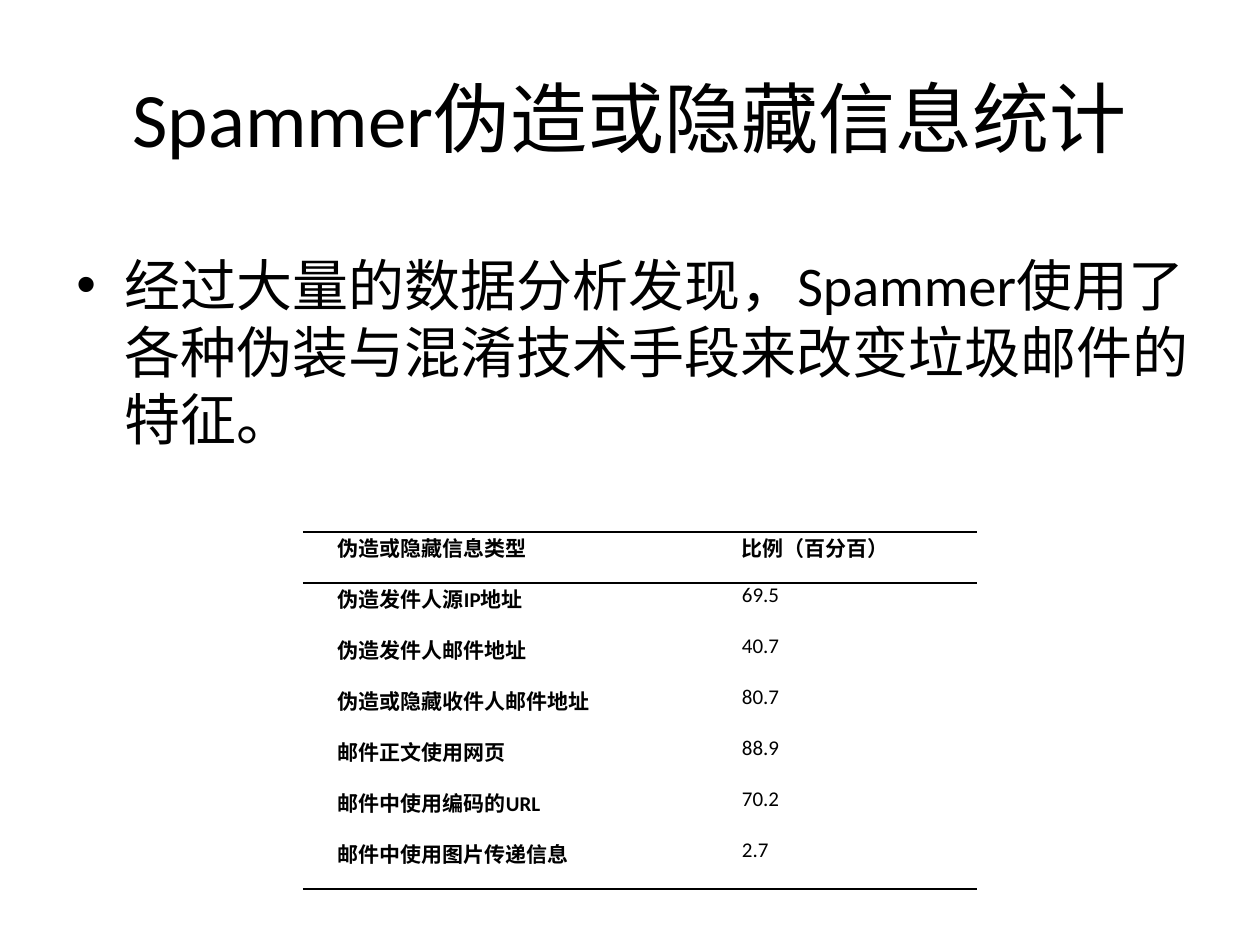
from lxml import etree
from pptx import Presentation
from pptx.dml.color import RGBColor
from pptx.enum.text import MSO_ANCHOR, PP_ALIGN
from pptx.oxml.ns import qn
from pptx.util import Pt

PX = 914400 // 126
BLACK = RGBColor(0, 0, 0)
FONT = "Calibri"
CENTER, JUSTIFY, LEFT = PP_ALIGN.CENTER, PP_ALIGN.JUSTIFY, PP_ALIGN.LEFT
MIDDLE, TOP = MSO_ANCHOR.MIDDLE, MSO_ANCHOR.TOP
NO_STYLE = "{2D5ABB26-0587-4C30-8999-92F81FD0307C}"

HEADER = ("伪造或隐藏信息类型", "比例（百分百）")
RATES = [
    ("伪造发件人源IP地址", "69.5"),
    ("伪造发件人邮件地址", "40.7"),
    ("伪造或隐藏收件人邮件地址", "80.7"),
    ("邮件正文使用网页", "88.9"),
    ("邮件中使用编码的URL", "70.2"),
    ("邮件中使用图片传递信息", "2.7"),
]


def px(n):
    """Turn pixels into EMU."""
    return n * PX


def write(tf, text, size=12, bold=False, align=LEFT, margin=0, indent=0,
          before=0, bullet=None):
    """Write one formatted paragraph into a text frame."""
    p = tf.paragraphs[0]
    p.alignment = align
    p.space_before = Pt(before)
    pPr = p._p.get_or_add_pPr()
    pPr.set("marL", str(px(margin)))
    pPr.set("indent", str(px(indent)))
    if bullet:
        etree.SubElement(pPr, qn("a:buFont")).set("typeface", "Arial")
        etree.SubElement(pPr, qn("a:buChar")).set("char", bullet)
    r = p.add_run()
    r.text = text
    r.font.name, r.font.size, r.font.bold = FONT, Pt(size), bold
    r.font.color.rgb = BLACK


def add_text(s, box, text, anchor=TOP, **fmt):
    """Add a wrapping text box that fills the box."""
    tf = s.shapes.add_textbox(*map(px, box)).text_frame
    tf.word_wrap = True
    tf.vertical_anchor = anchor
    write(tf, text, **fmt)


def add_border(cell, side):
    """Draw a thin black line on one side ("T" or "B") of a cell."""
    ln = etree.SubElement(cell._tc.get_or_add_tcPr(), qn("a:ln" + side))
    ln.set("w", str(Pt(1)))
    fill = etree.SubElement(ln, qn("a:solidFill"))
    etree.SubElement(fill, qn("a:srgbClr")).set("val", str(BLACK))


def add_rate_table(s, box, first_width):
    """Add the three-line table of rates, with equal rows."""
    left, top, width, height = box
    rows = [HEADER] + RATES
    table = s.shapes.add_table(len(rows), 2, *map(px, box)).table
    table.first_row = table.horz_banding = False
    table._tbl.tblPr.find(qn("a:tableStyleId")).text = NO_STYLE
    for column, w in zip(table.columns, (first_width, width - first_width)):
        column.width = px(w)
    for i, row in enumerate(rows):
        table.rows[i].height = px(height // len(rows))
        for j, text in enumerate(row):
            cell = table.cell(i, j)
            cell.margin_left = cell.margin_right = px(9)
            cell.margin_top = cell.margin_bottom = 0
            if i == 0:
                add_border(cell, "T")
            if i in (0, len(rows) - 1):
                add_border(cell, "B")
            cell.fill.background()
            write(cell.text_frame, text, bold=i == 0 or j == 0,
                  align=JUSTIFY, indent=26)


def build_slide(prs):
    """Place the title, the finding and the table on a blank slide."""
    s = prs.slides.add_slide(prs.slide_layouts[6])
    add_text(s, (63, 38, 1134, 158), "Spammer伪造或隐藏信息统计",
             anchor=MIDDLE, size=44, align=CENTER)
    add_rate_table(s, (303, 532, 674, 357), first_width=404)
    add_text(s, (64, 244, 1142, 625),
             "经过大量的数据分析发现，Spammer使用了各种伪装与混淆技术手段来改变垃圾邮件的特征。",
             size=32, margin=48, indent=-48, before=6.4, bullet="•")


prs = Presentation()
prs.slide_width, prs.slide_height = px(1260), px(945)
build_slide(prs)
prs.save("out.pptx")
